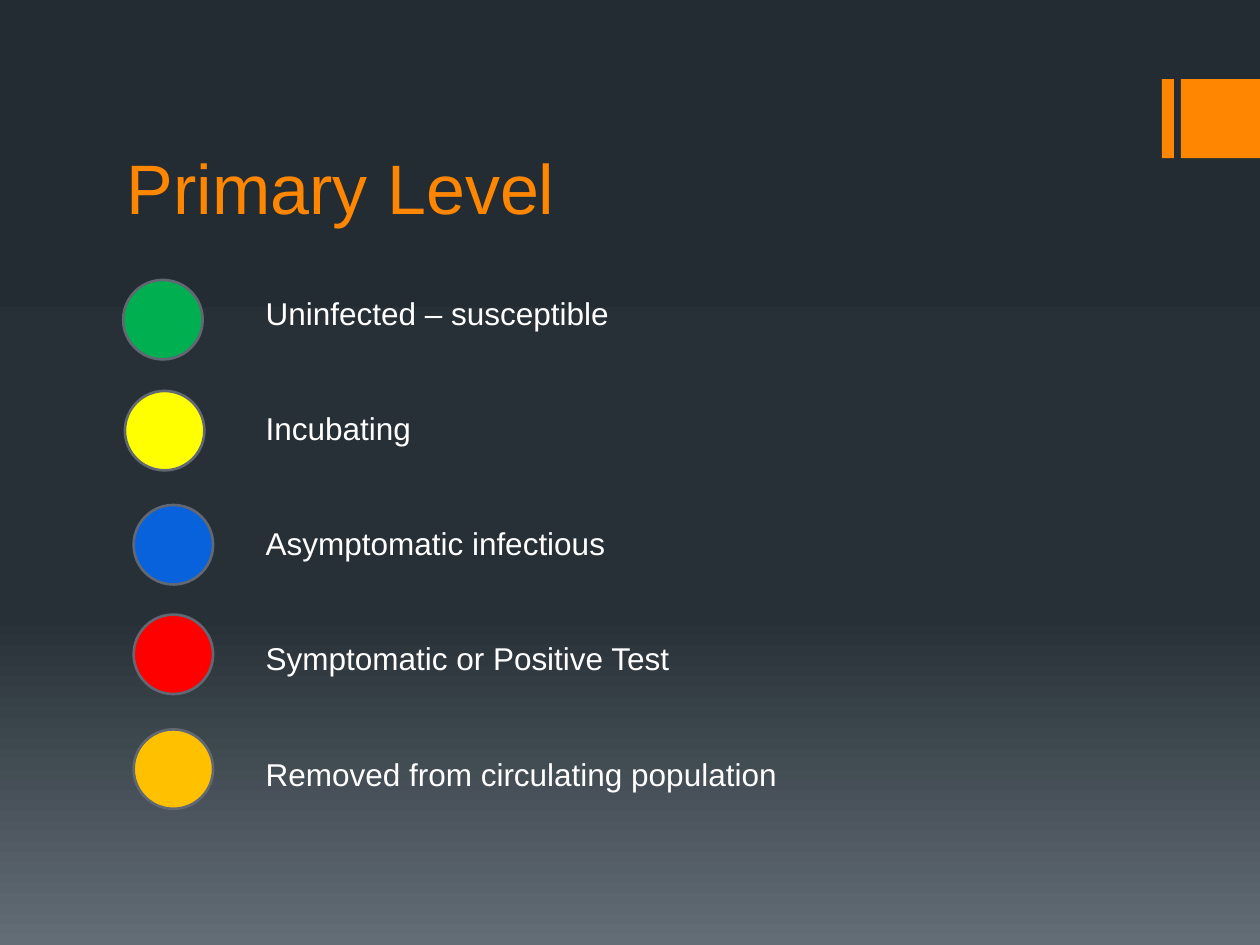
from copy import deepcopy

from pptx import Presentation
from pptx.dml.color import RGBColor
from pptx.enum.shapes import MSO_SHAPE as Shape
from pptx.enum.text import MSO_ANCHOR as Anchor
from pptx.util import Pt

COLORS = {
    "accent": "FF8600", "text": "FFFFFF", "outline": "616873",
    "sky": "242C33", "dusk": "273037", "ground": "636D76",
    "green": "00B050", "yellow": "FFFF00", "blue": "0762DB",
    "red": "FF0000", "amber": "FFC000",
}


def rgb(name):
    return RGBColor.from_string(COLORS[name])


def write(paragraph, text, size=18, color="text", font="Arial", gap=0):
    paragraph.space_before = Pt(gap)
    run = paragraph.add_run()
    run.text = text
    run.font.size = Pt(size)
    run.font.name = font
    run.font.color.rgb = rgb(color)


class Deck:
    def __init__(self, width, height):
        self.file = Presentation()
        self.file.slide_width, self.file.slide_height = Pt(width), Pt(height)
        self.slide = self.file.slides.add_slide(self.file.slide_layouts[6])

    def background(self, stops):
        fill = self.slide.background.fill
        fill.gradient()
        fill.gradient_angle = 270
        stop_list = self.slide.element.xpath(".//p:bg//a:gsLst")[0]
        while len(stop_list) < len(stops):
            stop_list.append(deepcopy(stop_list[-1]))
        for stop, (position, color) in zip(fill.gradient_stops, stops):
            stop.position = position
            stop.color.rgb = rgb(color)

    def shape(self, kind, left, top, width, height, color, outline=None):
        shape = self.slide.shapes.add_shape(
            kind, Pt(left), Pt(top), Pt(width), Pt(height))
        shape.shadow.inherit = False
        shape.fill.solid()
        shape.fill.fore_color.rgb = rgb(color)
        if outline:
            shape.line.color.rgb = rgb(outline)
            shape.line.width = Pt(1.5)
        else:
            shape.line.fill.background()

    def text(self, left, top, width, height, lines, anchor=Anchor.TOP, gap=0, **style):
        frame = self.slide.shapes.add_textbox(
            Pt(left), Pt(top), Pt(width), Pt(height)).text_frame
        frame.word_wrap = True
        frame.vertical_anchor = anchor
        for i, line in enumerate(lines):
            paragraph = frame.add_paragraph() if i else frame.paragraphs[0]
            write(paragraph, line, gap=gap if i else 0, **style)


deck = Deck(720, 540)
deck.background([(0, "sky"), (0.65, "dusk"), (1, "ground")])

# Corner bars
for left, width in ((664, 6.8), (674.8, 45.2)):
    deck.shape(Shape.RECTANGLE, left, 45.2, width, 45.2, "accent")

# Title
deck.text(65.5, 43, 576, 91, ["Primary Level"], Anchor.BOTTOM, size=40, color="accent")

# Infection states: marker left, marker top, colour, label
states = [
    (70.4, 160, "green", "Uninfected – susceptible"),
    (71.4, 223.4, "yellow", "Incubating"),
    (76.4, 288.6, "blue", "Asymptomatic infectious"),
    (76.4, 351.2, "red", "Symptomatic or Positive Test"),
    (76.4, 416.8, "amber", "Removed from circulating population"),
]
for left, top, color, label in states:
    deck.shape(Shape.OVAL, left, top, 45.4, 45.4, color, "outline")
deck.text(144.7, 164.5, 448, 291, [state[-1] for state in states], gap=44.2)

deck.file.save("out.pptx")
